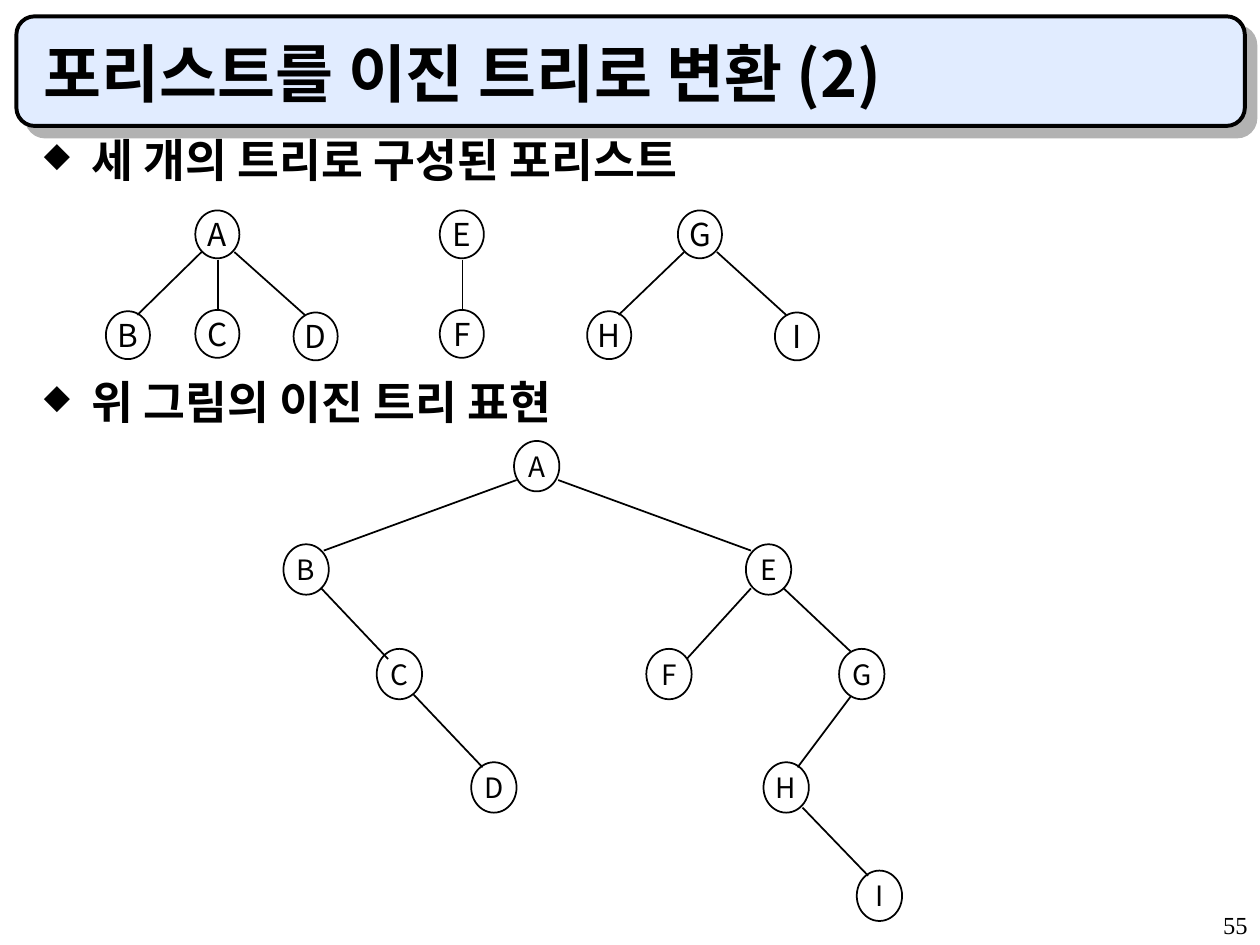
from dataclasses import dataclass

from lxml import etree
from pptx import Presentation, util as u
from pptx.dml.color import RGBColor
from pptx.enum import shapes, text
from pptx.oxml import parse_xml
from pptx.oxml.ns import nsdecls, qn


@dataclass(frozen=True)
class Theme:
    ink: str = "000000"
    bar: str = "E1ECFF"
    shadow: str = "B2B2B2"
    sans: str = "Noto Sans CJK KR"
    serif: str = "Times New Roman"
    title_size: int = 36
    bullet_size: int = 26
    forest_size: int = 18
    binary_size: int = 16
    number_size: int = 14


THEME = Theme()

# Edge ends, as offsets from the corners of the parent and child nodes
LEFT = ((0.05, 0.33), (0.25, 0.03))
DOWN = ((0.18, 0.39), (0.18, -0.01))
RIGHT = ((0.31, 0.33), (0.09, 0.02))

FOREST = {
    "node": (0.35, 0.38),
    "size": THEME.forest_size,
    "places": {"A": (0.71, 0), "B": (0, 0.8), "C": (0.71, 0.79), "D": (1.49, 0.81),
               "E": (2.65, 0), "F": (2.65, 0.79),
               "G": (4.54, 0), "H": (3.82, 0.8), "I": (5.31, 0.81)},
    "edges": {"AB": LEFT, "AC": DOWN, "AD": RIGHT, "EF": DOWN, "GH": LEFT, "GI": RIGHT},
}
BINARY = {
    "node": (0.36, 0.4),
    "size": THEME.binary_size,
    "places": {"A": (1.83, 0), "B": (0, 0.82), "C": (0.74, 1.65), "D": (1.49, 2.55),
               "E": (3.67, 0.82), "F": (2.88, 1.65), "G": (4.41, 1.65),
               "H": (3.81, 2.55), "I": (4.55, 3.41)},
    "edges": {"AB": ((0.02, 0.31), (0.32, 0.05)), "AE": ((0.35, 0.31), (0.04, 0.05)),
              "BC": ((0.3, 0.35), (0.09, 0.08)), "CD": ((0.29, 0.36), (0.09, 0.04)),
              "EF": ((0.04, 0.35), (0.32, 0.08)), "EG": ((0.3, 0.35), (0.09, 0.02)),
              "GH": ((0.09, 0.38), (0.27, 0.04)), "HI": ((0.31, 0.36), (0.09, 0.04))},
}


def inches(values):
    return [u.Inches(value) for value in values]


def color(name):
    return RGBColor.from_string(name)


def write(shape, words, size, font=THEME.sans, bold=False, frame=None, para_format=None):
    """Put one styled paragraph into a shape and return the paragraph."""
    for name, value in {"word_wrap": True, **(frame or {})}.items():
        setattr(shape.text_frame, name, value)
    para = shape.text_frame.paragraphs[0]
    for name, value in (para_format or {}).items():
        setattr(para, name, value)
    span = para.add_run()
    span.text = words
    for name, value in {"name": font, "size": u.Pt(size), "bold": bold}.items():
        setattr(span.font, name, value)
    span.font.color.rgb = color(THEME.ink)
    east_asian = etree.SubElement(span.font._element, qn("a:ea"))
    east_asian.set("typeface", THEME.sans)
    return para


def add_title(page, box):
    # Bar with a hard offset shadow
    bar = page.shapes.add_shape(shapes.MSO_SHAPE.ROUNDED_RECTANGLE, *inches(box))
    bar.fill.solid()
    bar.fill.fore_color.rgb = color(THEME.bar)
    bar.line.color.rgb = color(THEME.ink)
    bar.line.width = u.Pt(2.25)
    bar._element.spPr.append(parse_xml(
        f'<a:effectLst {nsdecls("a")}>'
        f'<a:outerShdw dist="{u.Pt(8.5)}" dir="2700000" algn="ctr" rotWithShape="0">'
        f'<a:srgbClr val="{THEME.shadow}"/></a:outerShdw></a:effectLst>'))
    # Title wording
    left, top, width, height = box
    label = page.shapes.add_textbox(
        *inches((left + 0.12, top + 0.12, width - 0.33, height - 0.2)))
    write(label, "포리스트를 이진 트리로 변환 (2)", THEME.title_size, bold=True,
          frame={"vertical_anchor": text.MSO_ANCHOR.BOTTOM})


def add_bullet(page, box, words, font=THEME.sans):
    label = page.shapes.add_textbox(*inches(box))
    para = label.text_frame.paragraphs[0]
    props = para._p.get_or_add_pPr()
    props.set("marL", str(u.Inches(0.38)))
    props.set("indent", str(u.Inches(-0.38)))
    for mark in (f'<a:buClr {nsdecls("a")}><a:srgbClr val="{THEME.ink}"/></a:buClr>',
                 f'<a:buSzPct {nsdecls("a")} val="75000"/>',
                 f'<a:buChar {nsdecls("a")} char="◆"/>'):
        props.append(parse_xml(mark))
    write(label, words, THEME.bullet_size, font, bold=True,
          para_format={"line_spacing": 0.8})


def add_node(page, box, letter, size):
    node = page.shapes.add_shape(shapes.MSO_SHAPE.OVAL, *inches(box))
    node.shadow.inherit = False
    node.fill.background()
    node.line.color.rgb = color(THEME.ink)
    node.line.width = u.Pt(1)
    write(node, letter, size,
          frame={"word_wrap": False, "vertical_anchor": text.MSO_ANCHOR.MIDDLE},
          para_format={"alignment": text.PP_ALIGN.CENTER})


def add_edge(page, start, end):
    edge = page.shapes.add_connector(
        shapes.MSO_CONNECTOR.STRAIGHT, *inches((*start, *end)))
    edge.line.color.rgb = color(THEME.ink)
    edge.line.width = u.Pt(1)
    etree.SubElement(edge._element.spPr, qn("a:effectLst"))


def add_trees(page, box, trees):
    left, top = box[:2]
    corners = {letter: (left + x, top + y) for letter, (x, y) in trees["places"].items()}
    for letter, corner in corners.items():
        add_node(page, (*corner, *trees["node"]), letter, trees["size"])
    for pair, offsets in trees["edges"].items():
        ends = [(corners[letter][0] + dx, corners[letter][1] + dy)
                for letter, (dx, dy) in zip(pair, offsets)]
        add_edge(page, *ends)


def add_page_number(page, box):
    label = page.shapes.add_textbox(*inches(box))
    write(label, "55", THEME.number_size, THEME.serif,
          para_format={"alignment": text.PP_ALIGN.RIGHT})


def main():
    deck = Presentation()
    deck.slide_width, deck.slide_height = inches((10, 7.5))
    page = deck.slides.add_slide(deck.slide_layouts[6])

    add_title(page, (0.13, 0.13, 9.75, 0.87))
    # Forest of three trees
    add_bullet(page, (0.25, 1.08, 9.42, 0.5), "세 개의 트리로 구성된 포리스트", THEME.serif)
    add_trees(page, (0.84, 1.67, 5.66, 1.19), FOREST)
    # The same forest as one binary tree
    add_bullet(page, (0.25, 3, 9.42, 0.5), "위 그림의 이진 트리 표현")
    add_trees(page, (2.25, 3.5, 4.91, 3.81), BINARY)
    add_page_number(page, (7.92, 7.17, 2.08, 0.33))

    deck.save("out.pptx")


if __name__ == "__main__":
    main()
